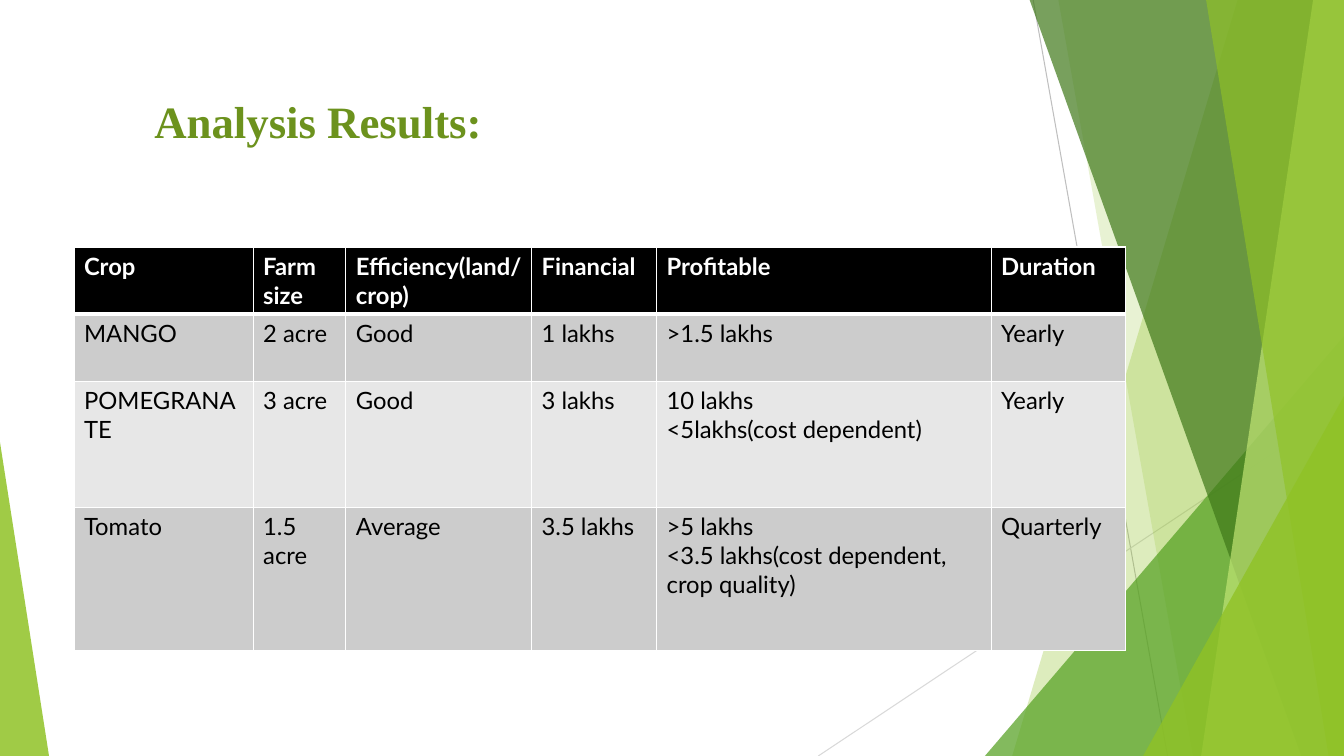
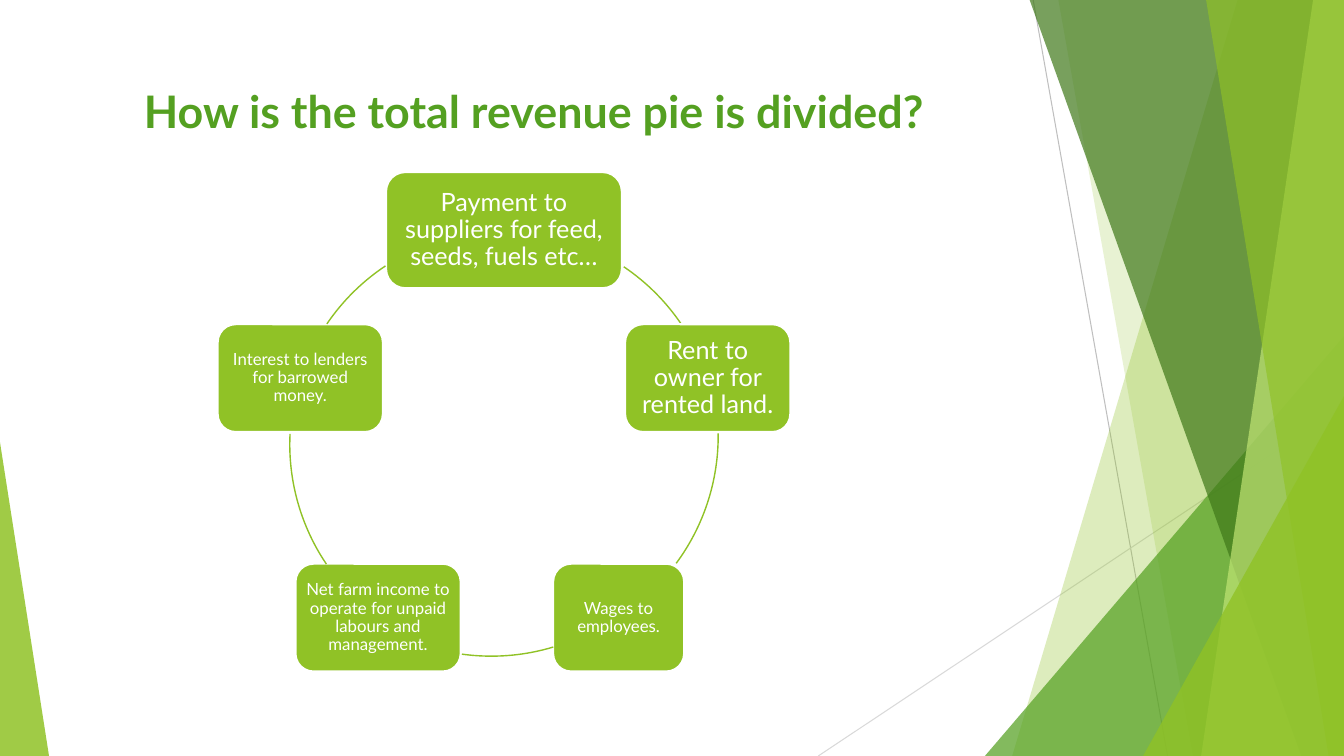
from dataclasses import dataclass
from math import cos, radians, sin

from lxml import etree
from pptx import Presentation
from pptx.dml.color import RGBColor
from pptx.enum.shapes import MSO_CONNECTOR, MSO_SHAPE
from pptx.enum.text import MSO_ANCHOR, MSO_AUTO_SIZE, PP_ALIGN
from pptx.oxml.ns import qn
from pptx.util import Pt

ARC, ROUNDED, TRIANGLE = MSO_SHAPE.ARC, MSO_SHAPE.ROUNDED_RECTANGLE, MSO_SHAPE.ISOSCELES_TRIANGLE
STRAIGHT = MSO_CONNECTOR.STRAIGHT
LEFT, CENTER = PP_ALIGN.LEFT, PP_ALIGN.CENTER
TOP, MIDDLE = MSO_ANCHOR.TOP, MSO_ANCHOR.MIDDLE
NO_FIT = MSO_AUTO_SIZE.NONE
TITLE_ONLY = 5
WIDTH, HEIGHT = 960, 540


@dataclass(frozen=True)
class Theme:
    sans: str = "Lato"
    serif: str = "Times New Roman"
    lime: str = "90C226"
    pale: str = "C0E474"
    green: str = "54A021"
    forest: str = "3F7819"
    olive: str = "6C921D"
    white: str = "FFFFFF"
    black: str = "000000"
    ray: str = "BFBFBF"
    faint_ray: str = "D9D9D9"
    stripes: tuple = ("CCCCCC", "E7E7E7")
    title_size: float = 32
    table_size: float = 17
    large: float = 18
    small: float = 12


def rgb(value):
    return RGBColor.from_string(value)


def write(tf, text, size, color, font, bold=False, align=LEFT, spacing=1.0):
    for i, line in enumerate(text.split("\n")):
        p = tf.add_paragraph() if i else tf.paragraphs[0]
        p.alignment, p.line_spacing = align, spacing
        r = p.add_run()
        r.text = line
        r.font.name, r.font.size, r.font.bold = font, Pt(size), bold
        r.font.color.rgb = rgb(color)


class Deck:
    def __init__(self, theme):
        self.theme = theme
        self.prs = Presentation()
        self.prs.slide_width, self.prs.slide_height = Pt(WIDTH), Pt(HEIGHT)
        self.layout = self.prs.slide_layouts[TITLE_ONLY]
        self.s = None

    def slide(self, title, x, y, w, color, font):
        self.s = self.prs.slides.add_slide(self.layout)
        sp = self.s.shapes.title
        sp.left, sp.top, sp.width, sp.height = Pt(x), Pt(y), Pt(w), Pt(46)
        tf = sp.text_frame
        tf.word_wrap, tf.auto_size, tf.vertical_anchor = False, NO_FIT, TOP
        write(tf, title, self.theme.title_size, color, font, bold=True)

    def paint(self, sp, color, opacity=100):
        sp.shadow.inherit = False
        sp.fill.solid()
        sp.fill.fore_color.rgb = rgb(color)
        if opacity < 100:
            clr = sp.element.spPr.find(".//" + qn("a:srgbClr"))
            etree.SubElement(clr, qn("a:alpha")).set("val", str(opacity * 1000))
        sp.line.fill.background()
        return sp

    def ray(self, x1, y1, x2, y2, color):
        line = self.s.shapes.add_connector(STRAIGHT, Pt(x1), Pt(y1), Pt(x2), Pt(y2))
        line.line.color.rgb, line.line.width = rgb(color), Pt(0.75)
        etree.SubElement(line.element.spPr, qn("a:effectLst"))
        return line

    def band(self, top_x, bottom_x, color, opacity):
        outline = self.s.shapes.build_freeform(Pt(top_x), 0)
        outline.add_line_segments(
            [(Pt(WIDTH), 0), (Pt(WIDTH), Pt(HEIGHT)), (Pt(bottom_x), Pt(HEIGHT))], close=True)
        return self.paint(outline.convert_to_shape(), color, opacity)

    def triangle(self, x, y, w, apex, color, opacity):
        sp = self.s.shapes.add_shape(TRIANGLE, Pt(x), Pt(y), Pt(w), Pt(HEIGHT - y))
        sp.adjustments[0] = apex
        return self.paint(sp, color, opacity)

    def backdrop(self):
        t = self.theme
        parts = [
            self.ray(738, 0, 834, HEIGHT, t.ray),
            self.ray(WIDTH, 290, 584.5, HEIGHT, t.faint_ray),
            self.band(884, 723, t.lime, 30),
            self.band(756, 852, t.lime, 20),
            self.triangle(703.5, 240, 256.5, 1, t.green, 72),
            self.band(735.5, 929.5, t.forest, 70),
            self.band(938, 858, t.pale, 70),
            self.band(861.5, 949, t.lime, 65),
            self.triangle(816.5, 283, 143.5, 1, t.lime, 80),
            self.triangle(0, 316, 35, 0, t.lime, 85),
        ]
        tree = self.layout.shapes.element
        for i, part in enumerate(parts):
            part.element.xpath(".//p:cNvPr")[0].set("id", str(100 + i))
            tree.insert(2 + i, part.element)

    def border(self, cell, side, width):
        ln = etree.SubElement(cell._tc.get_or_add_tcPr(), qn("a:ln" + side))
        ln.set("w", str(Pt(width)))
        fill = etree.SubElement(ln, qn("a:solidFill"))
        etree.SubElement(fill, qn("a:srgbClr")).set("val", self.theme.white)

    def table(self, x, y, widths, heights, rows):
        t = self.theme
        table = self.s.shapes.add_table(
            len(rows), len(widths), Pt(x), Pt(y), Pt(sum(widths)), Pt(sum(heights))).table
        for column, width in zip(table.columns, widths):
            column.width = Pt(width)
        for i, (row, height) in enumerate(zip(rows, heights)):
            table.rows[i].height = Pt(height)
            header = i == 0
            for j, text in enumerate(row):
                cell = table.cell(i, j)
                for side in "LRTB":
                    under_header = (side, i) in (("B", 0), ("T", 1))
                    self.border(cell, side, 3 if under_header else 1)
                cell.fill.solid()
                cell.fill.fore_color.rgb = rgb(t.black if header else t.stripes[(i - 1) % 2])
                write(cell.text_frame, text, t.table_size, t.white if header else t.black,
                      t.sans, bold=header)

    def node(self, cx, cy, w, h, text, size):
        t = self.theme
        sp = self.s.shapes.add_shape(ROUNDED, Pt(cx - w / 2), Pt(cy - h / 2), Pt(w), Pt(h))
        self.paint(sp, t.lime)
        sp.line.color.rgb, sp.line.width = rgb(t.white), Pt(1.5)
        tf = sp.text_frame
        tf.word_wrap, tf.vertical_anchor = True, MIDDLE
        inset = Pt(5 if size == t.large else 3.6)
        tf.margin_left = tf.margin_right = tf.margin_top = tf.margin_bottom = inset
        write(tf, text, size, t.white, t.sans, align=CENTER, spacing=0.9)

    def arc(self, cx, cy, radius, start, end):
        sp = self.s.shapes.add_shape(
            ARC, Pt(cx - radius), Pt(cy - radius), Pt(2 * radius), Pt(2 * radius))
        sp.shadow.inherit = False
        sp.fill.background()
        sp.line.color.rgb, sp.line.width = rgb(self.theme.lime), Pt(1)
        sp.adjustments[0], sp.adjustments[1] = start * 0.6, end * 0.6

    def cycle(self, cx, cy, radius, nodes):
        step = 360 / len(nodes)
        for i, (text, size, w, h, shift, arc_shift, start, end) in enumerate(nodes):
            angle = radians(i * step - 90)
            self.node(cx + radius * cos(angle) + shift, cy + radius * sin(angle), w, h, text, size)
            self.arc(cx + arc_shift[0], cy + arc_shift[1], radius, start, end)


theme = Theme()
deck = Deck(theme)

deck.slide("Analysis Results:", 103, 63.5, 250.5, theme.olive, theme.serif)
deck.backdrop()
deck.table(52.8, 176.4, [128, 66.2, 132.7, 89.3, 239, 96], [48, 48, 90, 102.5], [
    ["Crop", "Farm size", "Efficiency(land/crop)", "Financial", "Profitable", "Duration"],
    ["MANGO", "2 acre", "Good", "1 lakhs", ">1.5 lakhs", "Yearly"],
    ["POMEGRANATE", "3 acre", "Good", "3 lakhs", "10 lakhs\n<5lakhs(cost dependent)", "Yearly"],
    ["Tomato", "1.5 acre", "Average", "3.5 lakhs",
     ">5 lakhs\n<3.5 lakhs(cost dependent, crop quality)", "Quarterly"],
])

deck.slide("How is the total revenue pie is divided?", 95.5, 56, 615, theme.green, theme.sans)
deck.cycle(360, 317.4, 153, [
    ("Payment to suppliers for feed, seeds, fuels etc…", theme.large, 168.5, 83, 0, (0, 0), 304, 326),
    ("Rent to owner for rented land.", theme.large, 118, 77, 0, (0, -6), 359.3, 36.5),
    ("Wages to employees.", theme.small, 93.6, 77, -8, (-9, -1.7), 73.2, 98),
    ("Net farm income to operate for unpaid labours and management.",
     theme.small, 118, 77, 0, (0, 0), 146, 182.8),
    ("Interest to lenders for barrowed money.", theme.small, 118, 77, 0, (0, 0), 214.2, 236.4),
])

deck.prs.save("out.pptx")
